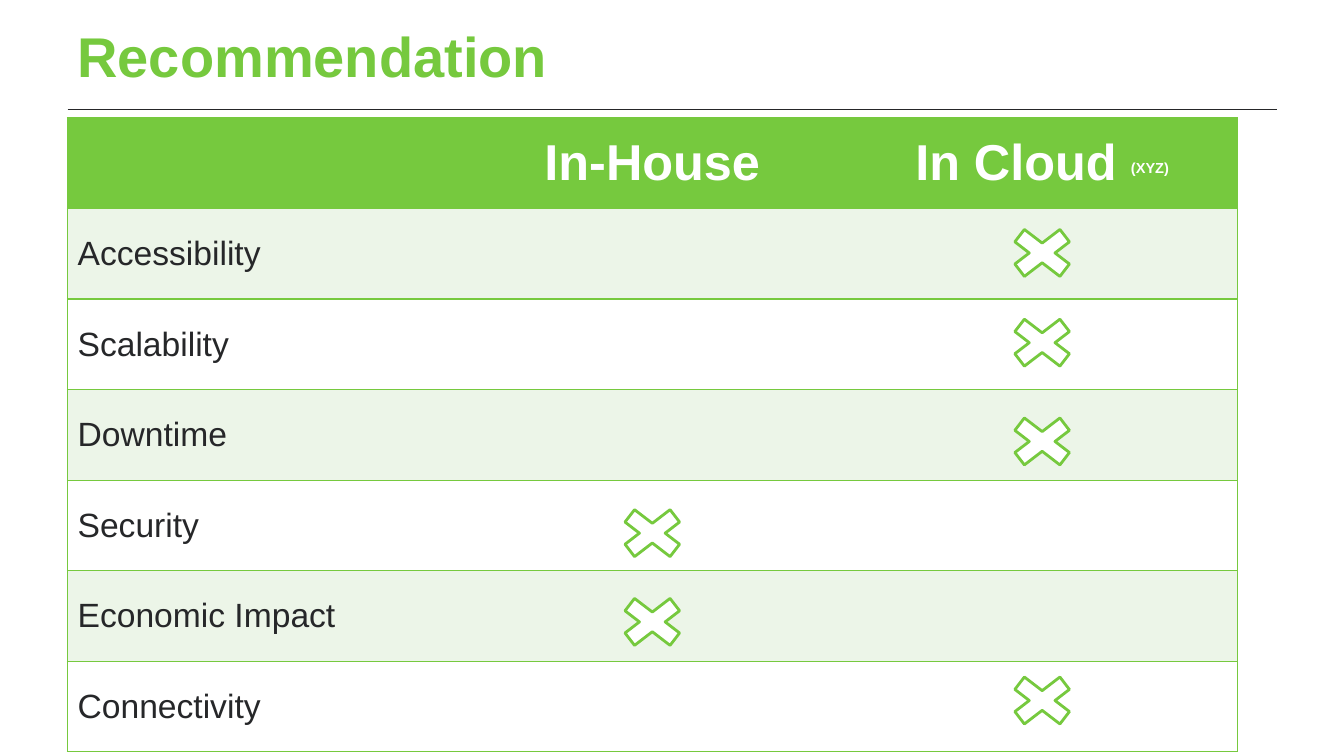
from lxml.etree import SubElement
from pptx import Presentation
from pptx.dml.color import RGBColor
from pptx.enum.shapes import MSO_CONNECTOR, MSO_SHAPE
from pptx.enum.text import MSO_ANCHOR, PP_ALIGN
from pptx.oxml import parse_xml
from pptx.oxml.ns import nsdecls, qn
from pptx.util import Inches, Pt

COLORS = {"green": "76C93E", "tint": "ECF5E8", "white": "FFFFFF", "ink": "262729"}
FONT = "Arial"
HEADERS = ["", "In-House", "In Cloud "]
PROVIDER = "(XYZ)"
# Criterion, column of the preferred option, top of its mark in inches
CRITERIA = [
    ("Accessibility", 2, 2.18),
    ("Scalability", 2, 3.07),
    ("Downtime", 2, 4.05),
    ("Security", 1, 4.96),
    ("Economic Impact", 1, 5.84),
    ("Connectivity", 2, 6.62),
]


def color(name):
    return RGBColor.from_string(COLORS[name])


def add_span(para, text, size, color_name, bold=False):
    span = para.add_run()
    span.text = text
    span.font.name = FONT
    span.font.size = Pt(size)
    span.font.bold = bold
    span.font.color.rgb = color(color_name)
    return span


def set_borders(cell, visible):
    """Draw the named sides (L, R, T, B) in green and hide the others."""
    properties = cell._tc.get_or_add_tcPr()
    for position, side in enumerate("LRTB"):
        if side in visible:
            paint = f'<a:solidFill><a:srgbClr val="{COLORS["green"]}"/></a:solidFill>'
        else:
            paint = "<a:noFill/>"
        border = parse_xml(f'<a:ln{side} {nsdecls("a")} w="{Pt(1)}">{paint}</a:ln{side}>')
        properties.insert(position, border)


def add_title(slide, left, top, width, height):
    box = slide.shapes.add_textbox(left, top, width, height)
    frame = box.text_frame
    frame.word_wrap = True
    frame.vertical_anchor = MSO_ANCHOR.MIDDLE
    frame.margin_left = frame.margin_right = Inches(0.1)
    frame.margin_top = frame.margin_bottom = Inches(0.1)
    add_span(frame.paragraphs[0], "Recommendation", 40, "green", bold=True)

    bottom = top + height
    rule = slide.shapes.add_connector(MSO_CONNECTOR.STRAIGHT, left, bottom, left + width, bottom)
    rule.line.color.rgb = color("ink")
    rule.line.width = Pt(0.75)
    SubElement(rule._element.spPr, qn("a:effectLst"))


def add_mark(slide, center, top):
    width, height = Inches(0.86), Inches(0.66)
    mark = slide.shapes.add_shape(
        MSO_SHAPE.MATH_MULTIPLY, center - width // 2, top, width, height)
    mark.shadow.inherit = False
    mark.fill.solid()
    mark.fill.fore_color.rgb = color("white")
    mark.line.color.rgb = color("green")
    mark.line.width = Pt(2)


def add_comparison(slide, left, top, width, height):
    row_count, column_count = len(CRITERIA) + 1, len(HEADERS)
    table = slide.shapes.add_table(row_count, column_count, left, top, width, height).table
    column_width = width // column_count
    for column in table.columns:
        column.width = column_width

    for row in range(row_count):
        fill = "green" if row == 0 else ("tint" if row % 2 else "white")
        for column in range(column_count):
            cell = table.cell(row, column)
            cell.fill.solid()
            cell.fill.fore_color.rgb = color(fill)
            cell.vertical_anchor = MSO_ANCHOR.MIDDLE
            set_borders(cell, ("LTB", "TB", "RTB")[column])

    for column, header in enumerate(HEADERS):
        if header:
            para = table.cell(0, column).text_frame.paragraphs[0]
            para.alignment = PP_ALIGN.CENTER
            add_span(para, header, 36, "white", bold=True)
    provider = add_span(para, PROVIDER, 18, "white", bold=True)
    provider.font._element.set("baseline", "30000")

    for row, (criterion, choice, mark_top) in enumerate(CRITERIA, start=1):
        add_span(table.cell(row, 0).text_frame.paragraphs[0], criterion, 24, "ink")
        center = left + choice * column_width + column_width // 2
        add_mark(slide, center, Inches(mark_top))


def main():
    deck = Presentation()
    deck.slide_width, deck.slide_height = Inches(13.33), Inches(7.5)
    slide = deck.slides.add_slide(deck.slide_layouts[6])
    add_title(slide, Inches(0.67), Inches(0.01), Inches(12), Inches(1.08))
    add_comparison(slide, Inches(0.67), Inches(1.17), Inches(11.6), Inches(6.29))
    deck.save("out.pptx")


if __name__ == "__main__":
    main()
